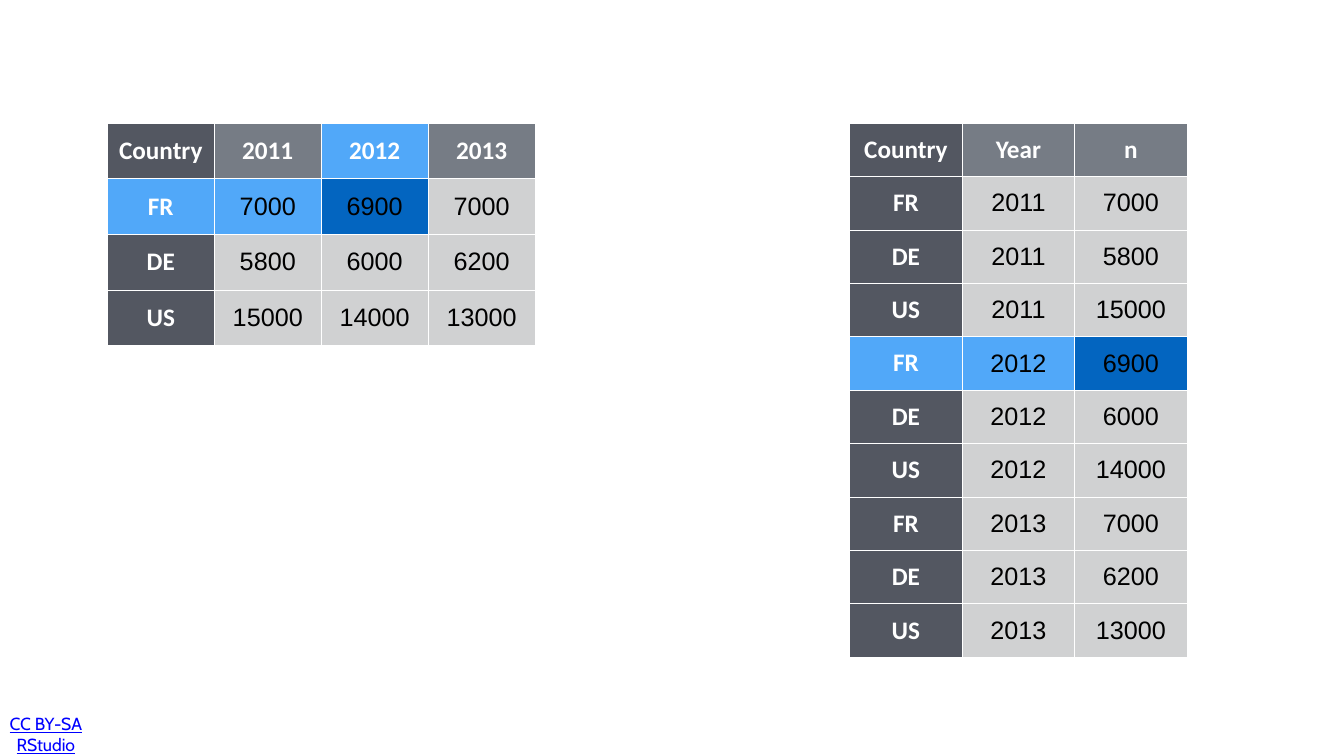
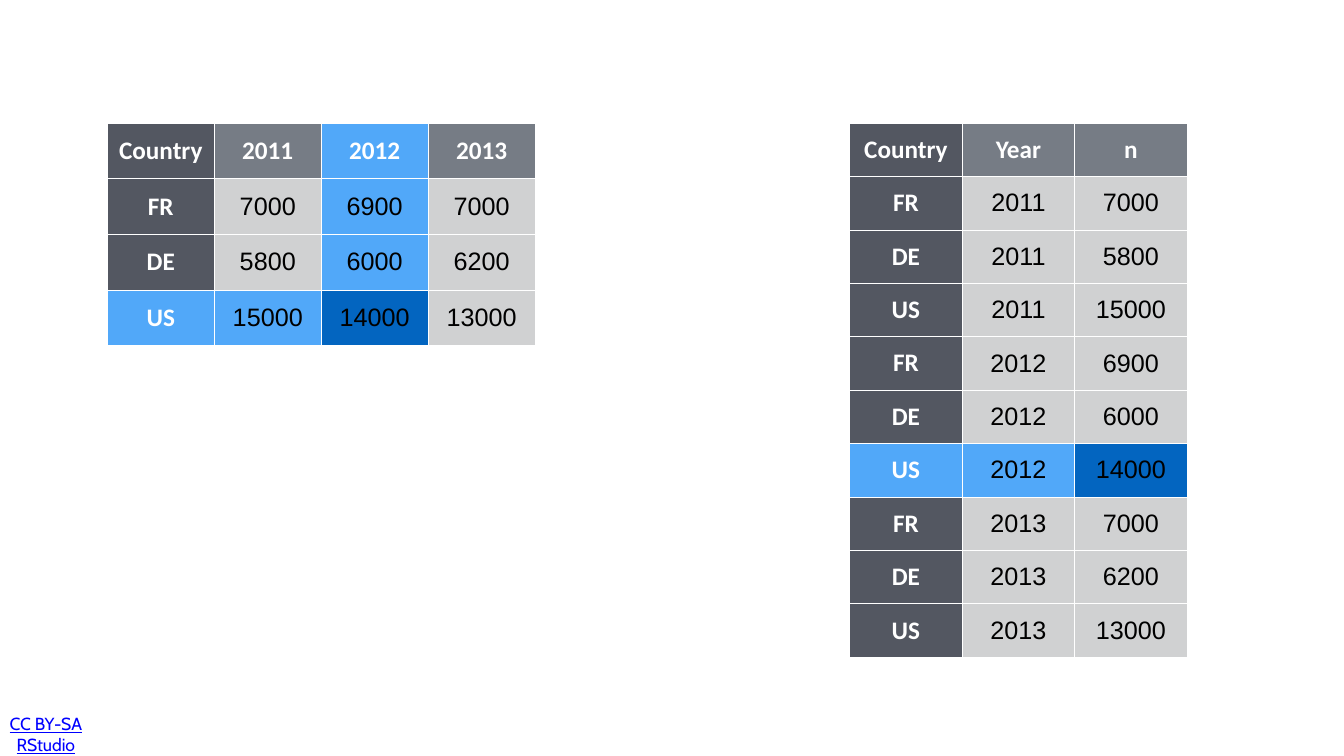
from lxml import etree
from pptx import Presentation
from pptx.dml.color import RGBColor
from pptx.enum import text
from pptx.oxml.ns import qn
from pptx.util import Inches, Pt

YEARS = ["2011", "2012", "2013"]
CASES = {
    "FR": ["7000", "6900", "7000"],
    "DE": ["5800", "6000", "6200"],
    "US": ["15000", "14000", "13000"],
}
WIDE = [["Country", *YEARS]] + [[country, *counts] for country, counts in CASES.items()]
LONG = [["Country", "Year", "n"]] + [
    [country, year, counts[i]]
    for i, year in enumerate(YEARS) for country, counts in CASES.items()
]
TRACED = [("FR", "2012"), ("US", "2012")]  # the value followed on each slide
LICENCE = "CC BY-SA RStudio"

WIDE_BOX = (2.13, 2.44, 8.49, 4.42)
LONG_BOX = (16.86, 2.44, 6.7, 10.6)
LICENCE_BOX = (0.12, 14.26, 2.66, 0.6)

HEADER, KEY, BODY = "767C85", "535761", "D0D1D2"
TRAIL, TARGET = "51A8F9", "0365C0"
WHITE, BLACK, LINK = "FFFFFF", "000000", "0000FF"


def rgb(value):
    return RGBColor.from_string(value)


def write(tf, words, font, size, color, bold=False, underline=False):
    p = tf.paragraphs[0]
    p.alignment = text.PP_ALIGN.CENTER
    r = p.add_run()
    r.text = words
    r.font.name, r.font.size = font, Pt(size)
    r.font.bold, r.font.underline = bold, underline
    r.font.color.rgb = rgb(color)


def set_margins(box, left, top, right, bottom):
    box.margin_left, box.margin_top = Inches(left), Inches(top)
    box.margin_right, box.margin_bottom = Inches(right), Inches(bottom)


def add_borders(cell, color=WHITE, width=1):
    tc_pr = cell._tc.get_or_add_tcPr()
    for side in ("a:lnL", "a:lnR", "a:lnT", "a:lnB"):
        ln = etree.SubElement(tc_pr, qn(side), w=str(Pt(width)))
        fill = etree.SubElement(ln, qn("a:solidFill"))
        etree.SubElement(fill, qn("a:srgbClr"), val=color)


def cell_fill(row, col, target, trail):
    if (row, col) == target:
        return TARGET
    if (row, col) in trail:
        return TRAIL
    if col == 0:
        return KEY
    return HEADER if row == 0 else BODY


def add_data_table(s, rows, box, target, trail):
    left, top, width, height = box
    table = s.shapes.add_table(len(rows), len(rows[0]), *map(Inches, box)).table
    for column in table.columns:
        column.width = Inches(width / len(rows[0]))
    for row in table.rows:
        row.height = Inches(height / len(rows))
    for i, row in enumerate(rows):
        for j, words in enumerate(row):
            cell = table.cell(i, j)
            cell.vertical_anchor = text.MSO_ANCHOR.MIDDLE
            set_margins(cell, 0.06, 0.06, 0.06, 0.06)
            add_borders(cell)
            cell.fill.solid()
            cell.fill.fore_color.rgb = rgb(cell_fill(i, j, target, trail))
            label = i == 0 or j == 0
            write(cell.text_frame, words, "Calibri" if label else "Arial", 36,
                  WHITE if label else BLACK, bold=label)


def add_licence(s):
    tf = s.shapes.add_textbox(*map(Inches, LICENCE_BOX)).text_frame
    tf.word_wrap = True
    tf.vertical_anchor = text.MSO_ANCHOR.MIDDLE
    set_margins(tf, 0.04, 0.08, 1.12, 0.08)
    write(tf, LICENCE, "Cabin", 25, LINK, underline=True)


def add_slide(prs, country, year):
    """Mark one value, and the cells that lead to it, in both table forms."""
    s = prs.slides.add_slide(prs.slide_layouts[6])
    add_licence(s)

    row = list(CASES).index(country) + 1
    col = YEARS.index(year) + 1
    trail = [(row, j) for j in range(col)] + [(i, col) for i in range(row)]
    add_data_table(s, WIDE, WIDE_BOX, (row, col), trail)

    row = [r[:2] for r in LONG].index([country, year])
    add_data_table(s, LONG, LONG_BOX, (row, 2), [(row, 0), (row, 1)])


def main():
    prs = Presentation()
    prs.slide_width, prs.slide_height = Inches(26.67), Inches(15)
    for country, year in TRACED:
        add_slide(prs, country, year)
    prs.save("out.pptx")


if __name__ == "__main__":
    main()
